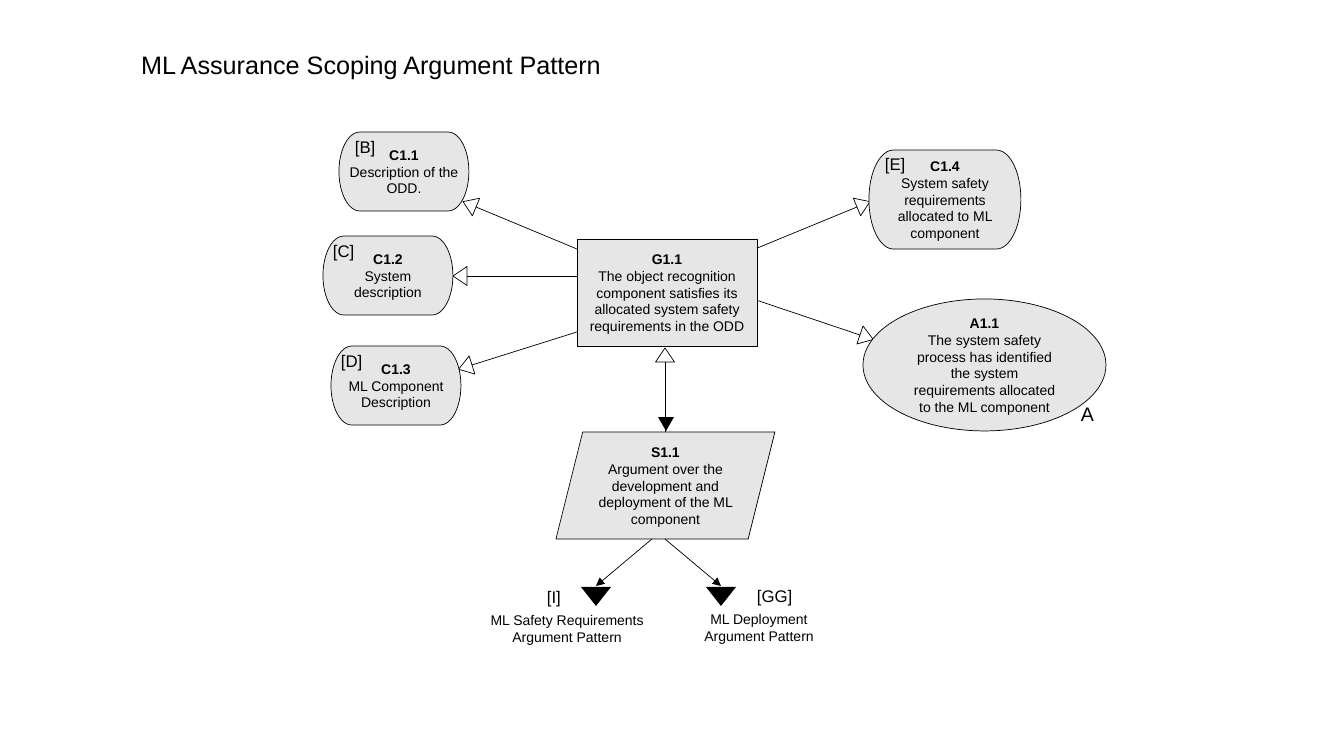
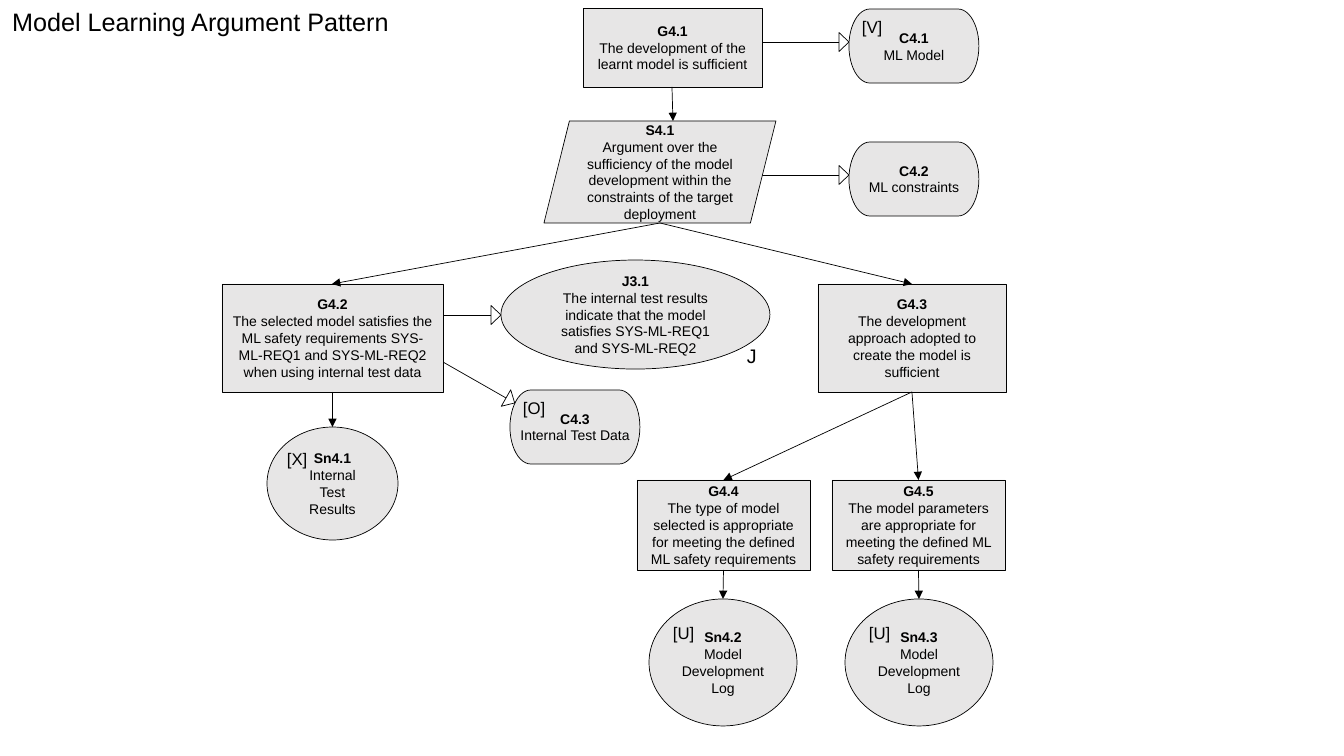
import math

from lxml import etree
from pptx import Presentation
from pptx.dml.color import RGBColor
from pptx.enum import shapes, text
from pptx.oxml import ns
from pptx.util import Emu, Pt

PIXEL = 914400 / 100.8
BLACK, GREY = "000000", "E7E6E6"
FONT, LINE_WIDTH = "Arial", 0.5
KINDS = shapes.MSO_SHAPE
GOAL, STRATEGY, CONTEXT, OVAL = (
    KINDS.RECTANGLE, KINDS.PARALLELOGRAM, KINDS.FLOWCHART_TERMINATOR, KINDS.OVAL)
LEFT, CENTER = text.PP_ALIGN.LEFT, text.PP_ALIGN.CENTER
TOP, MIDDLE = text.MSO_ANCHOR.TOP, text.MSO_ANCHOR.MIDDLE


def px(*lengths):
    """Turn pixel lengths into a list of EMU lengths."""
    return [Emu(round(length * PIXEL)) for length in lengths]


def color(value):
    """Turn a hex string into a colour."""
    return RGBColor.from_string(value)


def set_all(target, values):
    """Set every attribute in a dict of format values."""
    for name, value in values.items():
        setattr(target, name, value)


class Diagram:
    """Draws safety argument diagrams, one slide at a time."""

    def __init__(self):
        """Start a wide presentation."""
        self.presentation = Presentation()
        width, height = px(1344, 756)
        set_all(self.presentation, {"slide_width": width, "slide_height": height})
        self.slide = None

    def start(self, title, left, top, width):
        """Add a slide and place its title."""
        self.slide = self.presentation.slides.add_slide(
            self.presentation.slide_layouts[5])
        placeholder = self.slide.shapes.title
        box = px(left, top, width, 40)
        set_all(placeholder, dict(zip(("left", "top", "width", "height"), box)))
        self.put_text(placeholder, [title], 18)

    def put_text(self, shape, lines, size, align=LEFT, anchor=TOP, heading=False):
        """Fill in one paragraph per line; a heading makes the first one bold."""
        frame = shape.text_frame
        set_all(frame, {"word_wrap": True, "vertical_anchor": anchor})
        frame.text = "\n".join(lines)
        for index, paragraph in enumerate(frame.paragraphs):
            paragraph.alignment = align
            set_all(paragraph.font, {
                "name": FONT, "size": Pt(size), "bold": heading and index == 0})
            paragraph.font.color.rgb = color(BLACK)

    def outline(self, line):
        """Give a line the shared thin black stroke."""
        line.width = Pt(LINE_WIDTH)
        line.color.rgb = color(BLACK)

    def node(self, kind, name, body, left, top, width, height):
        """Add a grey element with a bold name above its text."""
        shape = self.slide.shapes.add_shape(kind, *px(left, top, width, height))
        shape.shadow.inherit = False
        shape.fill.solid()
        shape.fill.fore_color.rgb = color(GREY)
        self.outline(shape.line)
        self.put_text(shape, [name, body], 10, CENTER, MIDDLE, heading=True)
        if kind == CONTEXT:
            side, none = px(3, 0)
            set_all(shape.text_frame, {
                "margin_left": side, "margin_right": side,
                "margin_top": none, "margin_bottom": none})
        return shape

    def label(self, content, left, top, width=51, height=30, size=12, align=LEFT):
        """Add a plain text box."""
        box = self.slide.shapes.add_textbox(*px(left, top, width, height))
        self.put_text(box, content.split("\n"), size, align)

    def line(self, start, end, parent=None):
        """Add a straight line, on the slide or in a group."""
        connector = (parent or self.slide).shapes.add_connector(
            shapes.MSO_CONNECTOR.STRAIGHT, *px(*start, *end))
        self.outline(connector.line)
        etree.SubElement(connector.element.spPr, ns.qn("a:effectLst"))
        return connector

    def arrow(self, start, end):
        """Add a line with a solid arrowhead."""
        connector = self.line(start, end)
        stroke = connector.element.spPr.find(ns.qn("a:ln"))
        etree.SubElement(stroke, ns.qn("a:tailEnd"), type="triangle")
        return connector

    def link(self, upper, lower):
        """Attach an arrow from the bottom of one node to the top of another."""
        connector = self.arrow((0, 0), (0, 0))
        connector.begin_connect(upper, 2)
        connector.end_connect(lower, 0)

    def open_arrow(self, start, neck, length=14, breadth=19):
        """Add a line whose hollow head begins at the neck."""
        group = self.slide.shapes.add_group_shape()
        self.line(start, neck, group)
        across, down = neck[0] - start[0], neck[1] - start[1]
        reach = length / 2 / math.hypot(across, down)
        center_x, center_y = neck[0] + across * reach, neck[1] + down * reach
        head = group.shapes.add_shape(KINDS.ISOSCELES_TRIANGLE, *px(
            center_x - breadth / 2, center_y - length / 2, breadth, length))
        head.rotation = math.degrees(math.atan2(across, -down)) % 360
        head.shadow.inherit = False
        head.fill.background()
        self.outline(head.line)

    def marker(self, left, top, width, height):
        """Add a solid triangle that points down."""
        shape = self.slide.shapes.add_shape(
            KINDS.ISOSCELES_TRIANGLE, *px(left, top, width, height))
        shape.rotation = 180
        shape.shadow.inherit = False
        shape.fill.solid()
        shape.fill.fore_color.rgb = color(BLACK)
        shape.line.fill.background()


def scoping(diagram):
    """Build the assurance scoping slide."""
    diagram.start("ML Assurance Scoping Argument Pattern", 131, 44, 672)
    for start, neck in (
            ((577, 249), (476, 207)), ((577, 276), (467, 276)),
            ((577, 332), (472, 365)), ((755, 249), (857, 207)),
            ((756, 300), (860, 335)), ((665, 472), (665, 362))):
        diagram.open_arrow(start, neck)
    for kind, name, body, *box in (
            (CONTEXT, "C1.1", "Description of the ODD.", 339, 132, 130, 79),
            (CONTEXT, "C1.2", "System description", 323, 236, 130, 79),
            (CONTEXT, "C1.3", "ML Component Description", 331, 346, 130, 79),
            (CONTEXT, "C1.4", "System safety requirements allocated to ML component",
             869, 150, 152, 99),
            (GOAL, "G1.1", "The object recognition component satisfies its allocated "
             "system safety requirements in the ODD", 577, 239, 180, 107),
            (OVAL, "A1.1", "The system safety process has identified the system "
             "requirements allocated to the ML component", 863, 299, 243, 132),
            (STRATEGY, "S1.1", "Argument over the development and deployment of the "
             "ML component", 556, 432, 219, 107)):
        diagram.node(kind, name, body, *box)
    for content, *place in (
            ("[B]", 345, 132), ("[C]", 323, 236), ("[D]", 331, 346),
            ("[E]", 875, 149), ("[I]", 537, 582), ("[GG]", 747, 581, 69)):
        diagram.label(content, *place)
    diagram.label("A", 1071, 397, 40, 34, 14)
    diagram.marker(658, 417, 16, 14)
    for start, tip in ((652, 596), (665, 721)):
        diagram.arrow((start, 539), (tip, 586))
        diagram.marker(tip - 15, 587, 30, 19)
    diagram.label("ML Safety Requirements Argument Pattern",
                  462, 607, 210, 44, 10, CENTER)
    diagram.label("ML Deployment\nArgument Pattern", 674, 606, 170, 44, 10, CENTER)


def learning(diagram):
    """Build the model learning slide."""
    diagram.start("Model Learning Argument Pattern", 2, 1, 402)
    for start, neck in (
            ((443, 362), (506, 398)), ((443, 315), (491, 315)),
            ((762, 42), (839, 42)), ((762, 175), (839, 175))):
        diagram.open_arrow(start, neck, length=10)
    nodes = {}
    for kind, name, body, *box in (
            (GOAL, "G4.1", "The development of the learnt model is sufficient",
             583, 8, 179, 79),
            (STRATEGY, "S4.1", "Argument over the sufficiency of the model development "
             "within the constraints of the target deployment", 544, 121, 232, 102),
            (CONTEXT, "C4.1", "ML Model", 849, 9, 130, 74),
            (CONTEXT, "C4.2", "ML constraints", 849, 142, 130, 74),
            (CONTEXT, "C4.3", "Internal Test Data", 510, 390, 130, 74),
            (OVAL, "J3.1", "The internal test results indicate that the model "
             "satisfies SYS-ML-REQ1 and SYS-ML-REQ2", 501, 260, 269, 109),
            (GOAL, "G4.2", "The selected model satisfies the ML safety requirements "
             "SYS-ML-REQ1 and SYS-ML-REQ2 when using internal test data",
             222, 284, 221, 108),
            (GOAL, "G4.3", "The development approach adopted to create the model is "
             "sufficient", 818, 284, 188, 108),
            (GOAL, "G4.4", "The type of model selected is appropriate for meeting the "
             "defined ML safety requirements", 637, 480, 173, 90),
            (GOAL, "G4.5", "The model parameters are appropriate for meeting the "
             "defined ML safety requirements", 832, 480, 173, 90),
            (OVAL, "Sn4.1", "Internal Test Results", 267, 427, 131, 113),
            (OVAL, "Sn4.2", "Model Development Log", 649, 599, 148, 127),
            (OVAL, "Sn4.3", "Model Development Log", 845, 599, 148, 127)):
        nodes[name] = diagram.node(kind, name, body, *box)
    for start, end in (
            ((672, 87), (673, 121)), ((660, 223), (332, 284)),
            ((660, 223), (912, 284))):
        diagram.arrow(start, end)
    for upper, lower in (
            ("G4.2", "Sn4.1"), ("G4.3", "G4.4"), ("G4.3", "G4.5"),
            ("G4.4", "Sn4.2"), ("G4.5", "Sn4.3")):
        diagram.link(nodes[upper], nodes[lower])
    for content, left, top in (
            ("[V]", 852, 12), ("[O]", 513, 393), ("[X]", 277, 444),
            ("[U]", 663, 618), ("[U]", 859, 618)):
        diagram.label(content, left, top)
    diagram.label("J", 737, 339, 40, 34, 14)


def main():
    """Build both slides and save them."""
    diagram = Diagram()
    scoping(diagram)
    learning(diagram)
    diagram.presentation.save("out.pptx")


main()
